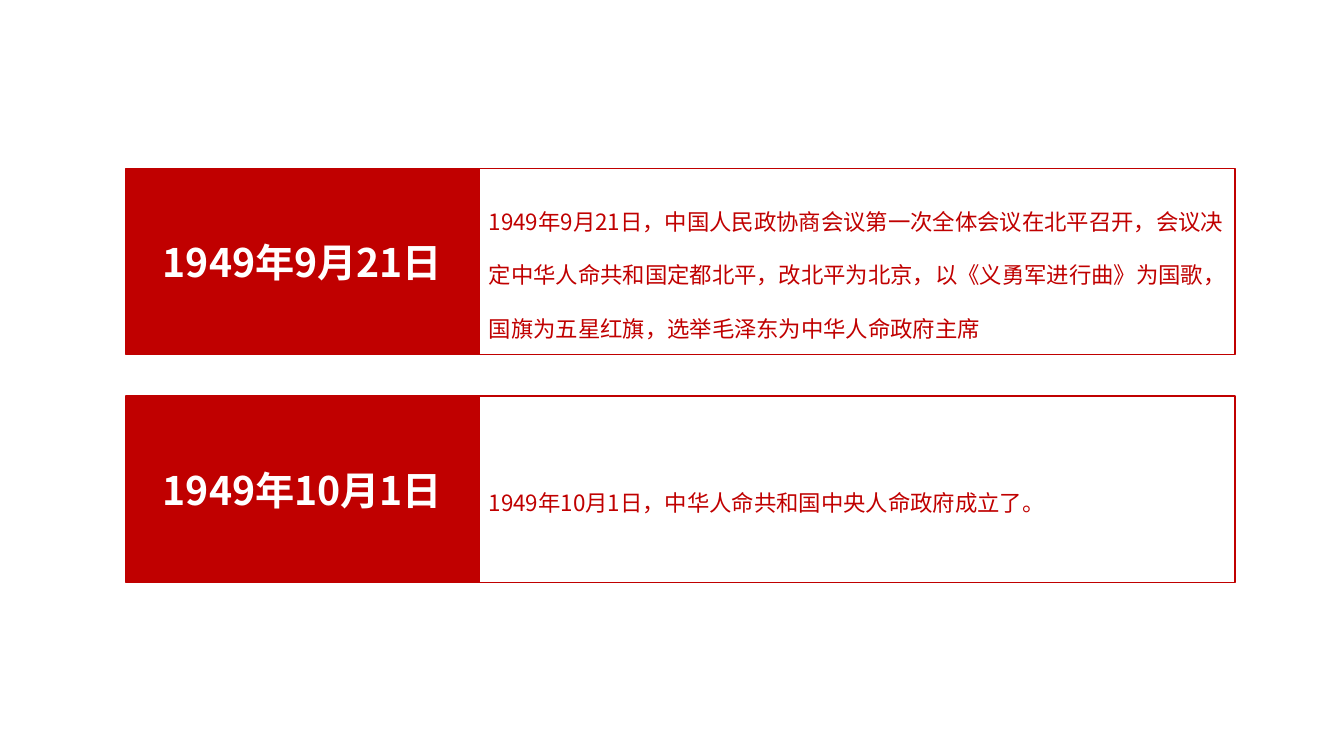
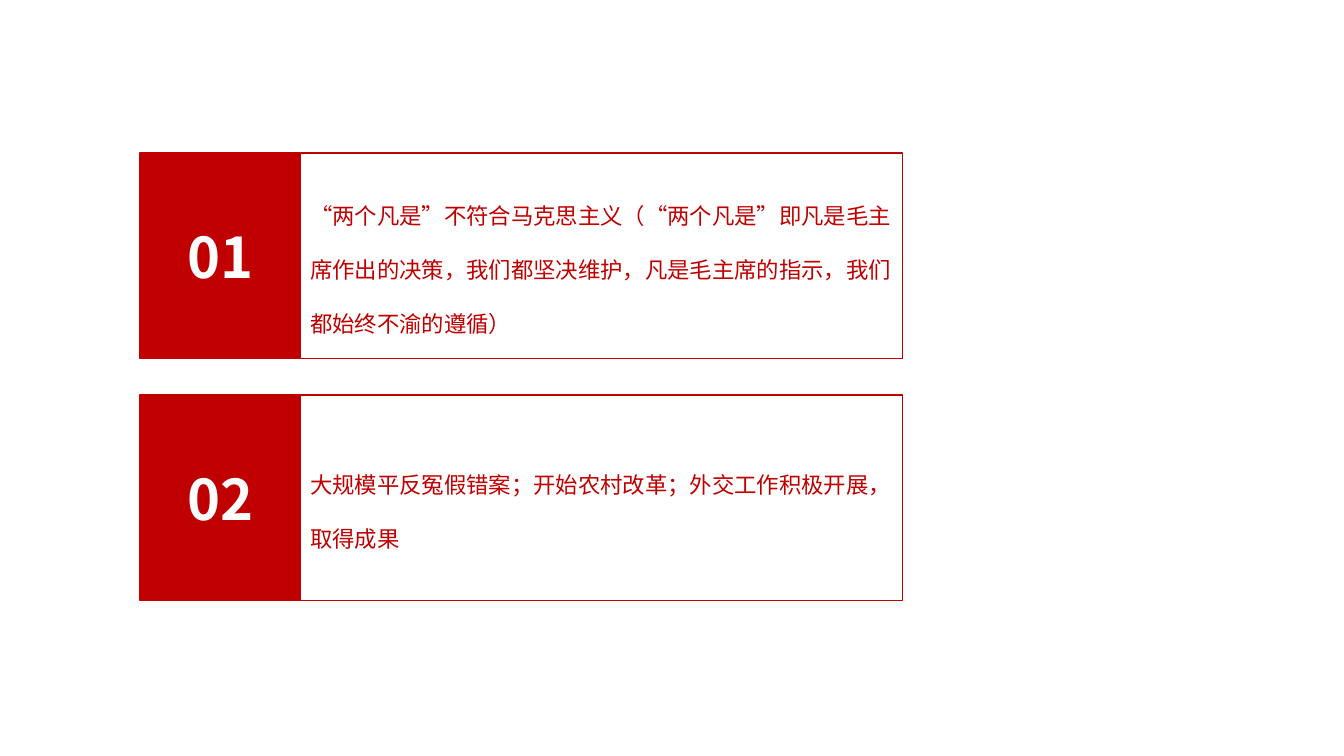
"""Build two slides of red label and text rows."""
import pptx
import pptx.util
import pptx.dml.color
import pptx.enum.shapes
import pptx.enum.text
import pptx.oxml.ns
import lxml.etree

Inches, Pt = pptx.util.Inches, pptx.util.Pt
ALIGN = pptx.enum.text.PP_ALIGN
FONT, RED, WHITE = "Noto Sans CJK SC", "C00000", "FFFFFF"

SLIDES = [
    {
        "left": 1.25, "top": 1.67, "label_width": 3.5, "text_width": 7.5,
        "height": 1.85, "pitch": 2.26, "label_size": 28,
        "rows": [
            ("1949年9月21日",
             "1949年9月21日，中国人民政协商会议第一次全体会议在北平召开，"
             "会议决定中华人命共和国定都北平，改北平为北京，以《义勇军进行曲》为国歌，"
             "国旗为五星红旗，选举毛泽东为中华人命政府主席"),
            ("1949年10月1日",
             "1949年10月1日，中华人命共和国中央人命政府成立了。"),
        ],
    },
    {
        "left": 1.39, "top": 1.52, "label_width": 1.59, "text_width": 5.97,
        "height": 2.04, "pitch": 2.4, "label_size": 40,
        "rows": [
            ("01",
             "“两个凡是”不符合马克思主义（“两个凡是”即凡是毛主席作出的决策，"
             "我们都坚决维护，凡是毛主席的指示，我们都始终不渝的遵循）"),
            ("02", "大规模平反冤假错案；开始农村改革；外交工作积极开展，取得成果"),
        ],
    },
]
TEXT_STYLE = {"align": ALIGN.LEFT, "spacing": 2.0, "color": RED,
              "font": {"size": Pt(16), "bold": False}}


def rgb(value):
    return pptx.dml.color.RGBColor.from_string(value)


def label_style(size):
    return {"align": ALIGN.CENTER, "spacing": 1.0, "color": WHITE, "fill": RED,
            "font": {"size": Pt(size), "bold": True}}


def add_box(s, box, text, style):
    sp = s.shapes.add_shape(pptx.enum.shapes.MSO_SHAPE.RECTANGLE,
                            *(Inches(v) for v in box))
    sp.shadow.inherit = False
    if "fill" in style:
        sp.fill.solid()
        sp.fill.fore_color.rgb = rgb(style["fill"])
    else:
        sp.fill.background()
    sp.line.color.rgb = rgb(RED)
    sp.line.width = Pt(1)
    tf = sp.text_frame
    tf.word_wrap = True
    tf.vertical_anchor = pptx.enum.text.MSO_ANCHOR.MIDDLE
    p = tf.paragraphs[0]
    p.alignment = style["align"]
    p.line_spacing = style["spacing"]
    r = p.add_run()
    r.text = text
    for name, value in {"name": FONT, **style["font"]}.items():
        setattr(r.font, name, value)
    r.font.color.rgb = rgb(style["color"])
    ea = lxml.etree.SubElement(r._r.get_or_add_rPr(), pptx.oxml.ns.qn("a:ea"))
    ea.set("typeface", FONT)


def add_rows(s, spec):
    left, width, height = spec["left"], spec["label_width"], spec["height"]
    for i, (label, text) in enumerate(spec["rows"]):
        top = spec["top"] + i * spec["pitch"]
        add_box(s, (left + width, top, spec["text_width"], height), text, TEXT_STYLE)
        add_box(s, (left, top, width, height), label, label_style(spec["label_size"]))


def main():
    prs = pptx.Presentation()
    prs.slide_width, prs.slide_height = Inches(13.33), Inches(7.5)
    for spec in SLIDES:
        add_rows(prs.slides.add_slide(prs.slide_layouts[6]), spec)
    prs.save("out.pptx")


if __name__ == "__main__":
    main()
